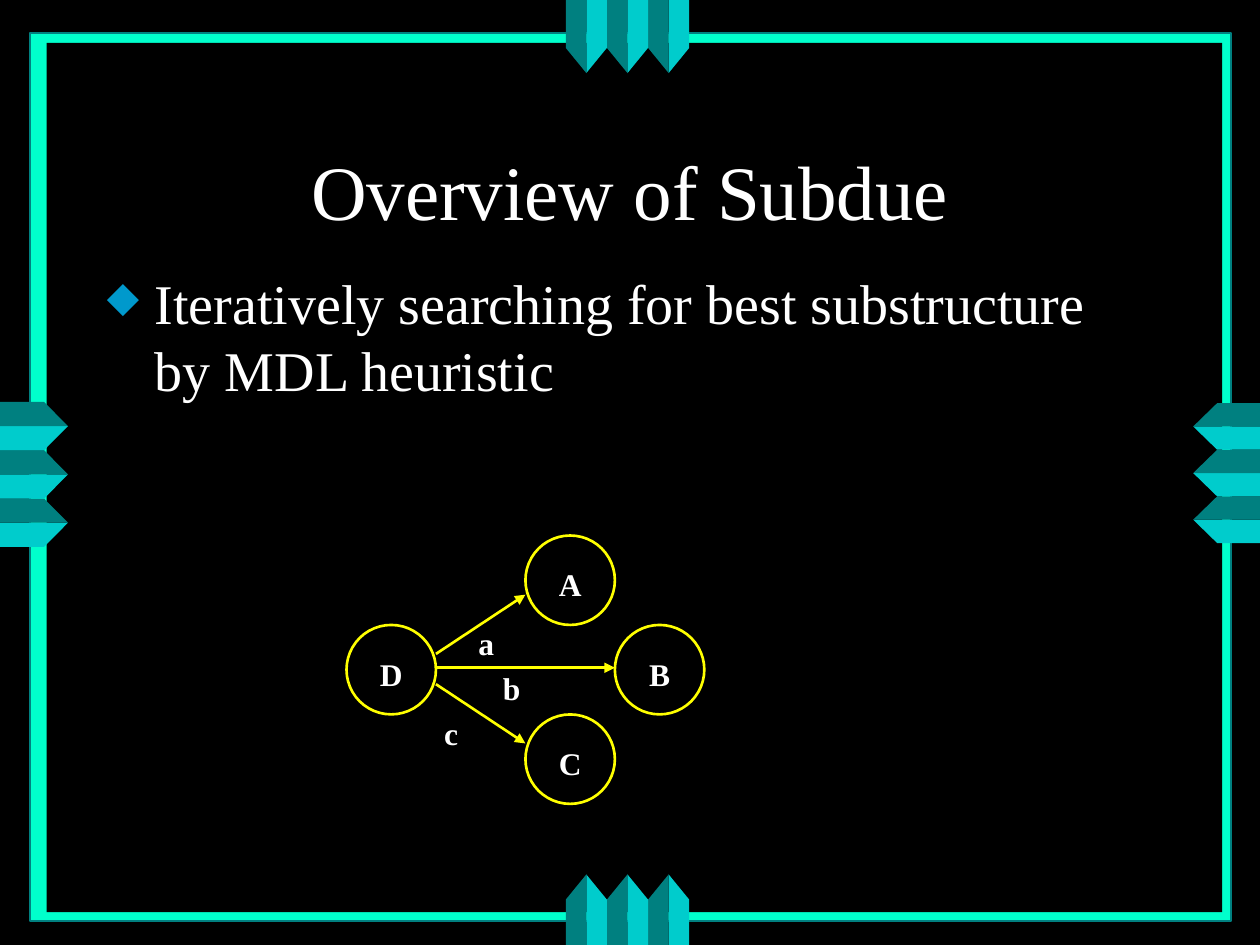
import pptx
import pptx.util
import pptx.dml.color
import pptx.enum.shapes
import pptx.enum.text
import pptx.oxml
import pptx.oxml.ns
from pptx.util import Inches

RGBColor = pptx.dml.color.RGBColor
BLACK = RGBColor(0x00, 0x00, 0x00)
WHITE = RGBColor(0xFF, 0xFF, 0xFF)
MINT = RGBColor(0x00, 0xFF, 0xCC)
TEAL = RGBColor(0x00, 0x80, 0x80)
CYAN = RGBColor(0x00, 0xCC, 0xCC)
YELLOW = RGBColor(0xFF, 0xFF, 0x00)
NAMESPACE = pptx.oxml.ns.nsdecls("a")

presentation = pptx.Presentation()
presentation.slide_width = Inches(10)
presentation.slide_height = Inches(7.5)
slide = presentation.slides.add_slide(presentation.slide_layouts[6])
slide.background.fill.solid()
slide.background.fill.fore_color.rgb = BLACK
shapes = slide.shapes


def style_shape(shape, fill=None, line=None, width=1):
    shape.shadow.inherit = False
    if fill is None:
        shape.fill.background()
    else:
        shape.fill.solid()
        shape.fill.fore_color.rgb = fill
    if line is None:
        shape.line.fill.background()
    else:
        shape.line.color.rgb = line
        shape.line.width = pptx.util.Pt(width)


def add_text(text, left, top, width, height, size, bold=False, inset=(0, 0)):
    box = shapes.add_textbox(Inches(left), Inches(top), Inches(width), Inches(height))
    frame = box.text_frame
    frame.word_wrap = True
    frame.margin_left = frame.margin_right = Inches(inset[0])
    frame.margin_top = frame.margin_bottom = Inches(inset[1])
    paragraph = frame.paragraphs[0]
    paragraph.alignment = pptx.enum.text.PP_ALIGN.CENTER
    run = paragraph.add_run()
    run.text = text
    run.font.name = "Times New Roman"
    run.font.size = pptx.util.Pt(size)
    run.font.bold = bold
    run.font.color.rgb = WHITE
    return frame


# Frame: a mint rectangle with a black one on top
for left, top, width, height, fill, line in (
    (0.24, 0.26, 9.53, 7.05, MINT, TEAL),
    (0.37, 0.34, 9.33, 6.9, BLACK, None),
):
    rectangle = shapes.add_shape(
        pptx.enum.shapes.MSO_SHAPE.RECTANGLE,
        Inches(left), Inches(top), Inches(width), Inches(height))
    style_shape(rectangle, fill, line)

# Folded ribbons: six slats on each side, running in from the slide edge
for horizontal, start, end, edge, shoulder, tip in (
    (True, 3.19, 4.34, 0, 0.35, 0.54),
    (False, 4.49, 5.47, 0, 0.38, 0.58),
    (False, 4.49, 5.47, 7.51, 7.14, 6.94),
    (True, 3.2, 4.31, 10.02, 9.66, 9.47),
):
    pitch = (end - start) / 6
    for index in reversed(range(6)):
        outer, fold = start + index * pitch, start + (index + 1) * pitch
        color = TEAL
        if index % 2:
            outer, fold, color = fold, outer, CYAN
        points = [(edge, outer), (shoulder, outer), (tip, fold), (edge, fold)]
        if not horizontal:
            points = [(across, depth) for depth, across in points]
        points = [(Inches(x), Inches(y)) for x, y in points]
        builder = shapes.build_freeform(*points[0])
        builder.add_line_segments(points[1:], close=True)
        style_shape(builder.convert_to_shape(), color)

# Title
title = add_text("Overview of Subdue", 0.75, 0.67, 8.5, 1.25, 44, inset=(0.1, 0.05))
title.vertical_anchor = pptx.enum.text.MSO_ANCHOR.BOTTOM

# Bulleted statement
body = add_text("Iteratively searching for best substructure by MDL heuristic",
                0.75, 2.08, 8.5, 4.5, 32, inset=(0.1, 0.05))
paragraph = body.paragraphs[0]
paragraph.alignment = pptx.enum.text.PP_ALIGN.LEFT
paragraph.space_before = pptx.util.Pt(8)
properties = paragraph._p.get_or_add_pPr()
properties.set("marL", str(Inches(0.38)))
properties.set("indent", str(Inches(-0.38)))
for bullet in (
    f'<a:buClr {NAMESPACE}><a:srgbClr val="0099CC"/></a:buClr>',
    f'<a:buSzPct {NAMESPACE} val="75000"/>',
    f'<a:buChar {NAMESPACE} char="◆"/>',
):
    properties.append(pptx.oxml.parse_xml(bullet))

# Graph nodes, each a ring with a centred letter
NODE_SIZE = 0.71
LABEL_SIZE = 0.24
label_offset = (NODE_SIZE - LABEL_SIZE) / 2
for name, left, top in (
    ("A", 4.17, 4.25), ("C", 4.17, 5.67), ("B", 4.88, 4.96), ("D", 2.75, 4.96),
):
    node = shapes.add_shape(
        pptx.enum.shapes.MSO_SHAPE.OVAL,
        Inches(left), Inches(top), Inches(NODE_SIZE), Inches(NODE_SIZE))
    style_shape(node, line=YELLOW, width=1.5)
    add_text(name, left + label_offset, top + label_offset,
             LABEL_SIZE, LABEL_SIZE, 18, bold=True)

# Graph edges from D
for start_y, end_x, end_y in ((5.19, 4.17, 4.72), (5.3, 4.88, 5.3), (5.43, 4.17, 5.9)):
    arrow = shapes.add_connector(
        pptx.enum.shapes.MSO_CONNECTOR.STRAIGHT,
        Inches(3.46), Inches(start_y), Inches(end_x), Inches(end_y))
    arrow.line.color.rgb = YELLOW
    arrow.line.width = pptx.util.Pt(1.5)
    arrow.line._get_or_add_ln().append(
        pptx.oxml.parse_xml(f'<a:tailEnd {NAMESPACE} type="triangle"/>'))
    arrow._element.spPr.append(pptx.oxml.parse_xml(f"<a:effectLst {NAMESPACE}/>"))

# Edge labels
for name, left, top in (("c", 3.46, 5.67), ("b", 3.94, 5.31), ("a", 3.74, 4.95)):
    add_text(name, left, top, LABEL_SIZE, LABEL_SIZE, 18, bold=True)

presentation.save("out.pptx")
